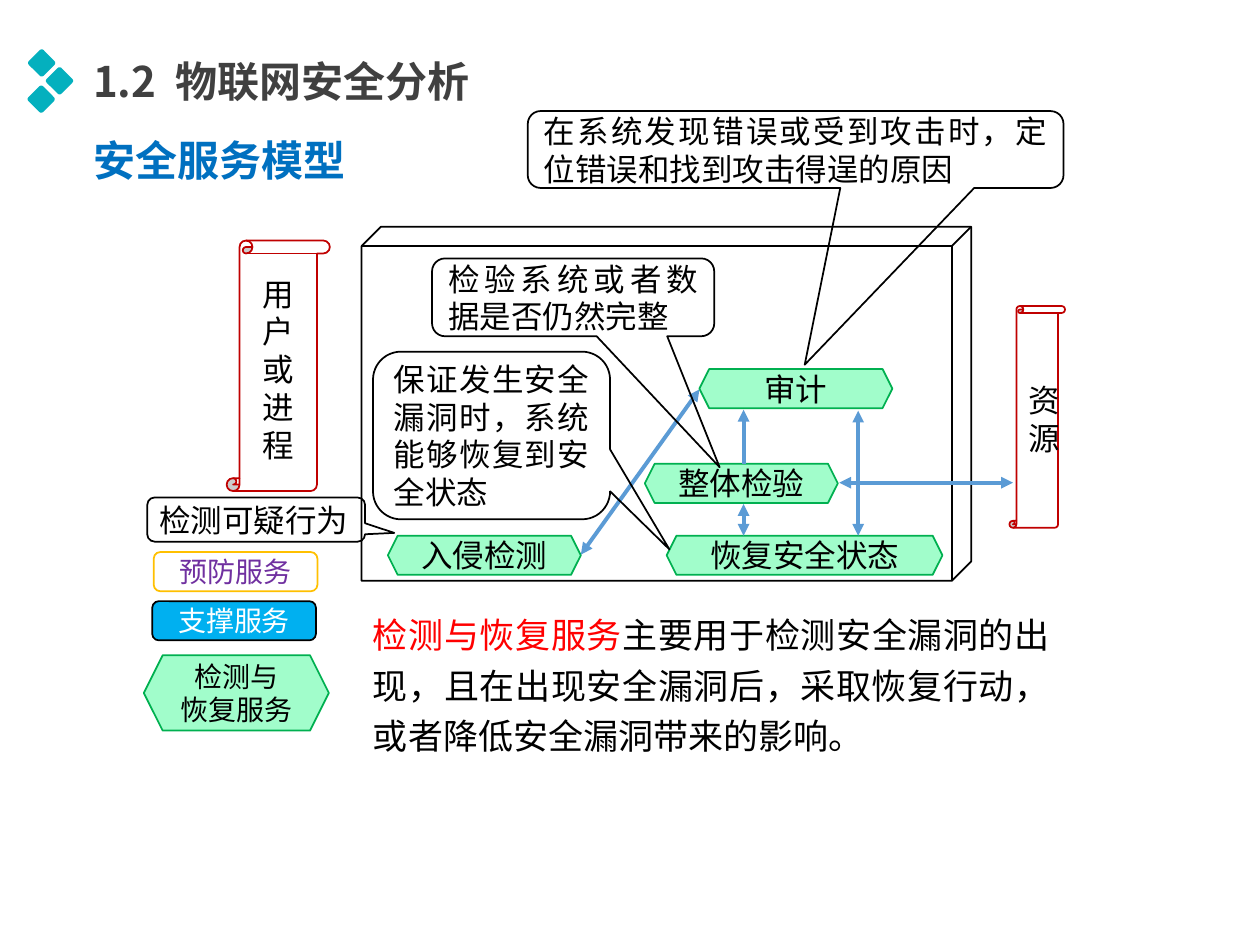
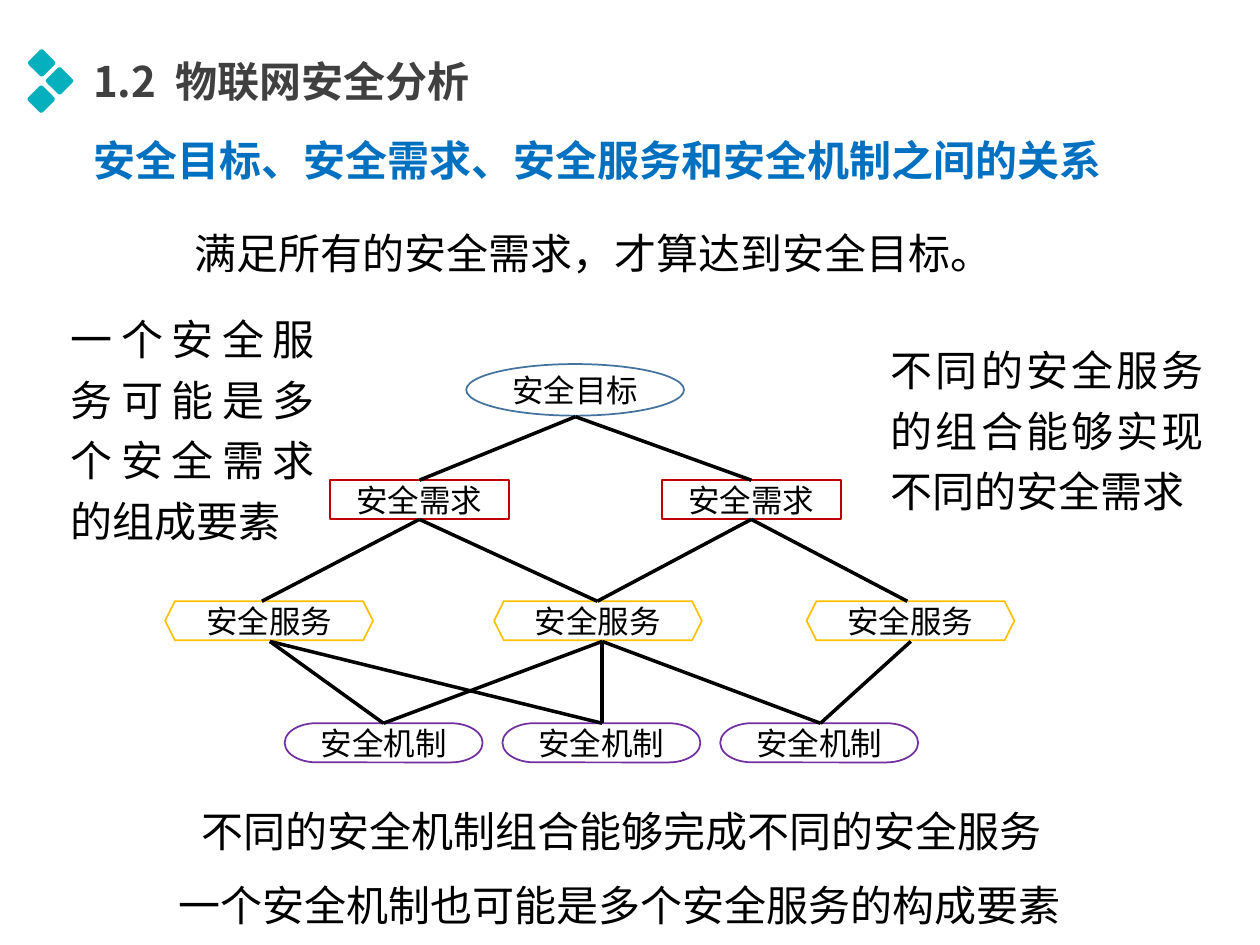
import pptx
import pptx.util
import pptx.dml.color
import pptx.enum.shapes
import pptx.enum.text
import pptx.oxml.ns
import lxml.etree

Cm = pptx.util.Cm
Pt = pptx.util.Pt
kinds = pptx.enum.shapes.MSO_SHAPE
sides = pptx.enum.text.PP_ALIGN
mids = pptx.enum.text.MSO_ANCHOR
qn = pptx.oxml.ns.qn

hues = {
    "teal": "04B0BE", "grey": "404040", "blue": "0070C0", "black": "000000",
    "white": "FFFFFF", "mint": "A1FDCB", "green": "00B050", "arrow": "5B9BD5",
    "gold": "FFC000", "sky": "00B0F0", "plum": "7030A0", "wine": "C00000",
    "red": "FF0000", "steel": "43739E",
}
rgb = {name: pptx.dml.color.RGBColor.from_string(code) for name, code in hues.items()}
sans = "Noto Sans CJK SC"
gothic = "Noto Sans CJK JP"
latin = "Calibri"
head_ins = (0.18, 0.1, 0.18, 0.1)
body_ins = (0.15, 0, 0.46, 0)


def put(slide, kind, box, paras=(), fill=None, line=None, size=18, font=latin,
        bold=False, align=sides.CENTER, anchor=mids.MIDDLE, lead=1.2,
        ins=(0.25, 0.13, 0.25, 0.13), adj=()):
    place = [Cm(v) for v in box]
    if kind is None:
        shape = slide.shapes.add_textbox(*place)
    else:
        shape = slide.shapes.add_shape(kind, *place)
        shape.shadow.inherit = False
        if fill:
            shape.fill.solid()
            shape.fill.fore_color.rgb = rgb[fill]
        else:
            shape.fill.background()
        if line:
            shape.line.color.rgb = rgb[line]
            shape.line.width = Pt(1)
        else:
            shape.line.fill.background()
        for i, v in enumerate(adj):
            shape.adjustments[i] = v
    frame = shape.text_frame
    frame.word_wrap = True
    frame.vertical_anchor = anchor
    frame.margin_left, frame.margin_top, frame.margin_right, frame.margin_bottom = [Cm(v) for v in ins]
    for i, runs in enumerate(paras):
        para = frame.paragraphs[0] if i == 0 else frame.add_paragraph()
        para.alignment = align
        para.line_spacing = Pt(round(size * lead, 1))
        for text, hue in runs:
            run = para.add_run()
            run.text = text
            run.font.size = Pt(size)
            run.font.name = font
            run.font.bold = bold
            run.font.color.rgb = rgb[hue]
            east = lxml.etree.SubElement(run.font._element, qn("a:ea"))
            east.set("typeface", font)
    return shape


def link(slide, start, end, hue, width, tips=()):
    wire = slide.shapes.add_connector(
        pptx.enum.shapes.MSO_CONNECTOR.STRAIGHT, *[Cm(v) for v in (*start, *end)])
    wire.line.color.rgb = rgb[hue]
    wire.line.width = Pt(width)
    for tip in tips:
        mark = lxml.etree.SubElement(wire.line._get_or_add_ln(), qn("a:" + tip))
        mark.set("type", "triangle")
    lxml.etree.SubElement(wire._element.spPr, qn("a:effectLst"))
    return wire


deck = pptx.Presentation()
deck.slide_width = Cm(25.4)
deck.slide_height = Cm(19.05)

pages = []
for topic, wide in (("安全服务模型", 6.5), ("安全目标、安全需求、安全服务和安全机制之间的关系", 21.95)):
    page = deck.slides.add_slide(deck.slide_layouts[6])
    pages.append(page)
    put(page, None, (1.7, 2.62, wide, 1.22), [[(topic, "blue")]], size=24, font=sans,
        bold=True, align=sides.LEFT, anchor=mids.TOP, ins=head_ins)
    for x, y in ((0.84, 1.27), (1.2, 1.63), (0.83, 2)):
        gem = put(page, kinds.ROUNDED_RECTANGLE, (x - 0.21, y - 0.21, 0.42, 0.42),
                  fill="teal", adj=[0.13])
        gem.rotation = 45
    title = put(page, None, (1.7, 1.02, 8.76, 1.22),
                [[("1.2", "grey"), (" ", "grey"), ("物联网安全分析", "grey")]],
                size=24, font=sans, bold=True, align=sides.LEFT, anchor=mids.TOP, ins=head_ins)
    title.text_frame.paragraphs[0].runs[1].font._element.set("spc", "540")
model, tree = pages

put(model, kinds.CUBE, (7.29, 4.57, 12.29, 7.14), line="black", adj=[0.055])
for text, x, y, wide in (
    ("入侵检测", 7.82, 10.8, 3.89),
    ("审计", 14.1, 7.44, 3.89),
    ("整体检验", 13, 9.35, 3.89),
    ("恢复安全状态", 13.44, 10.8, 5.56),
):
    put(model, kinds.HEXAGON, (x, y, wide, 0.79), [[(text, "black")]],
        fill="mint", line="green", font=gothic)

both = ("headEnd", "tailEnd")
for start, end, tips in (
    ((14.99, 9.35), (14.99, 8.26), ("tailEnd",)),
    ((17.3, 10.8), (17.3, 8.28), both),
    ((14.99, 10.8), (14.99, 10.16), both),
    ((11.71, 11.18), (14.1, 7.85), both),
    ((16.92, 9.73), (20.42, 9.73), both),
):
    link(model, start, end, "arrow", 2.25, tips)

for kind, box, lines, ink, fill, line in (
    (kinds.ROUNDED_RECTANGLE, (3.1, 11.13, 3.3, 0.79), ["预防服务"], "plum", "white", "gold"),
    (kinds.ROUNDED_RECTANGLE, (3.07, 12.12, 3.3, 0.79), ["支撑服务"], "white", "sky", "black"),
    (kinds.HEXAGON, (2.9, 13.21, 3.73, 1.52), ["检测与", "恢复服务"], "black", "mint", "green"),
):
    put(model, kind, box, [[(text, ink)] for text in lines],
        fill=fill, line=line, size=16, font=gothic)

for box, lines in (
    ((20.35, 6.17, 1.12, 4.47), ["资源"]),
    ((4.57, 4.85, 2.08, 5.05), ["用户", "或", "进程"]),
):
    put(model, kinds.VERTICAL_SCROLL, box, [[(text, "black")] for text in lines],
        fill="white", line="wine", font=gothic)

put(model, None, (7.37, 12.09, 14.25, 3.28),
    [[("检测与恢复服务", "red"),
      ("主要用于检测安全漏洞的出现，且在出现安全漏洞后，采取恢复行动，或者降低安全漏洞带来的影响。", "black")]],
    size=20, font=sans, align=sides.JUSTIFY, lead=1.44, ins=body_ins)

for text, box, tip, pad in (
    ("检测可疑行为", (2.97, 10.03, 4.39, 0.89), (0.634, 0.302), 0.2),
    ("在系统发现错误或受到攻击时，定位错误和找到攻击得逞的原因", (10.64, 2.24, 10.8, 1.55), (0.017, 2.799), 0.25),
    ("检验系统或者数据是否仍然完整", (8.71, 5.21, 5.69, 1.57), (0.519, 2.182), 0.25),
    ("保证发生安全漏洞时，系统能够恢复到安全状态", (7.52, 7.09, 4.78, 3.38), (0.75, 0.679), 0.25),
):
    put(model, kinds.ROUNDED_RECTANGULAR_CALLOUT, box, [[(text, "black")]], line="black",
        align=sides.JUSTIFY, ins=(pad, 0.13, pad, 0.13), adj=(*tip, 0.167))

put(tree, kinds.OVAL, (9.4, 7.34, 4.39, 1.04), [[("安全目标", "black")]], line="steel")
needs = [put(tree, kinds.RECTANGLE, (x, 9.68, 3.61, 0.79), [[("安全需求", "black")]], line="wine")
         for x in (6.65, 15.07 - 1.73)]
for x in (3.33, 9.96, 16.26):
    put(tree, kinds.HEXAGON, (x, 12.12, 4.19, 0.79), [[("安全服务", "black")]], line="gold")
for i in range(3):
    put(tree, kinds.FLOWCHART_TERMINATOR, (5.74 + 4.39 * i, 14.58, 3.99, 0.79),
        [[("安全机制", "black")]], line="plum")

tops = (5.28, 12.04, 18.29)
feet = (5.44, 12.14, 18.36)
means = (7.73, 12.14, 16.54)
for i, need in enumerate(needs):
    wire = link(tree, (8.46, 9.68), (11.6, 8.4), "black", 2)
    wire.begin_connect(need, 0)
    for x in tops[i:i + 2]:
        wire = link(tree, (x, 12.12), (8.46, 10.47), "black", 2)
        wire.end_connect(need, 2)
for foot, goals in zip(feet, (means[:2], means, means[2:])):
    for goal in goals:
        link(tree, (goal, 14.58), (foot, 12.93), "black", 2)

for text, box in (
    ("满足所有的安全需求，才算达到安全目标。", (3.78, 4.45, 17.45, 1.09)),
    ("不同的安全服务的组合能够实现不同的安全需求", (17.81, 6.91, 6.91, 3.33)),
    ("一个安全服务可能是多个安全需求的组成要素", (1.27, 6.45, 5.54, 4.22)),
    ("不同的安全机制组合能够完成不同的安全服务", (3.91, 16.15, 19.74, 0.99)),
    ("一个安全机制也可能是多个安全服务的构成要素", (3.45, 17.65, 19.74, 0.99)),
):
    put(tree, None, box, [[(text, "black")]], size=24, font=sans,
        align=sides.JUSTIFY, lead=1.44, ins=body_ins)

deck.save("out.pptx")
